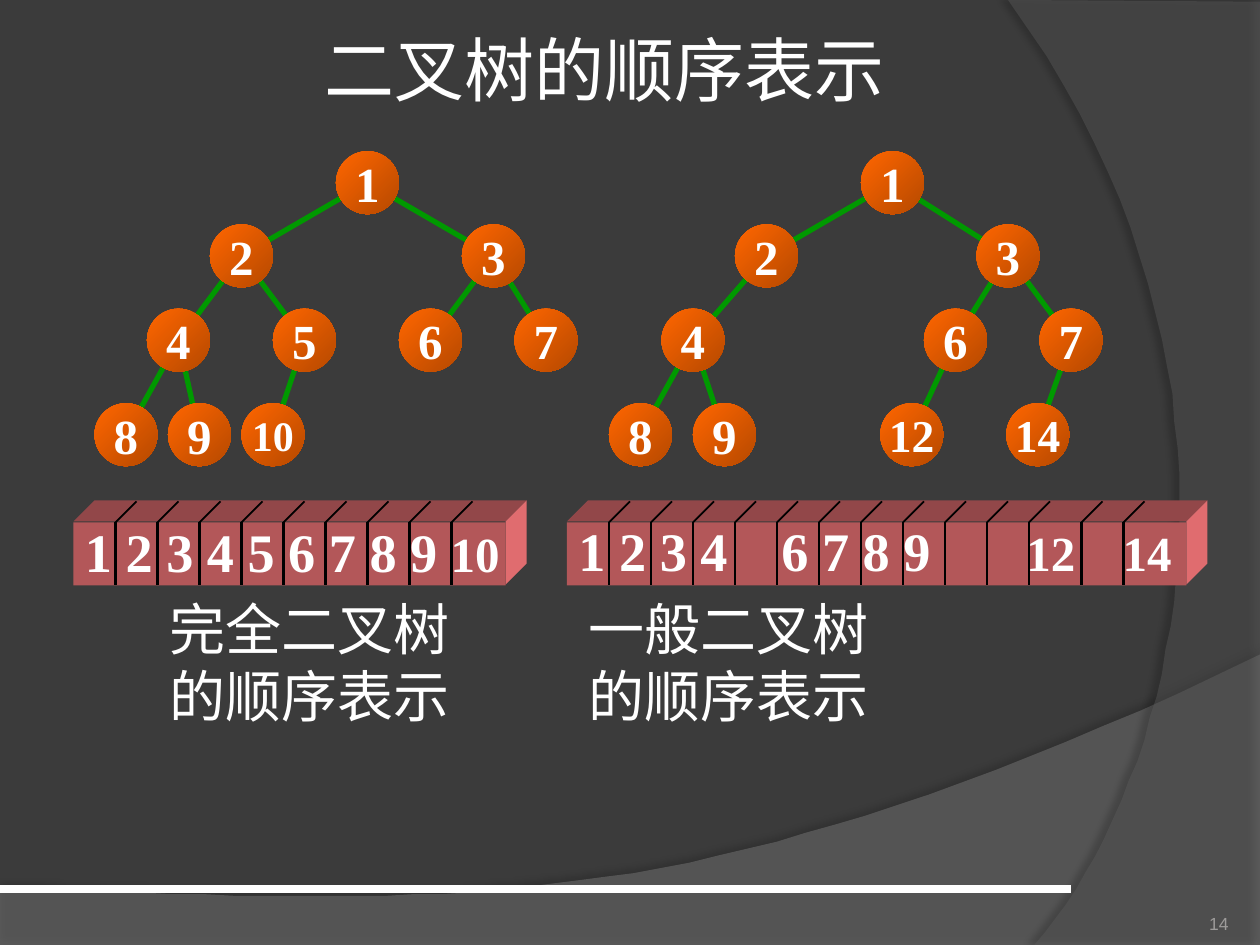
import math
from lxml import etree
from pptx import Presentation
from pptx.dml.color import RGBColor
from pptx.enum.shapes import MSO_CONNECTOR, MSO_SHAPE
from pptx.enum.text import MSO_ANCHOR, PP_ALIGN
from pptx.oxml.ns import qn
from pptx.util import Pt

STRAIGHT = MSO_CONNECTOR.STRAIGHT
OVAL = MSO_SHAPE.OVAL
RECTANGLE = MSO_SHAPE.RECTANGLE
MIDDLE = MSO_ANCHOR.MIDDLE
TOP = MSO_ANCHOR.TOP
BOTTOM = MSO_ANCHOR.BOTTOM
LEFT = PP_ALIGN.LEFT
CENTER = PP_ALIGN.CENTER
RIGHT = PP_ALIGN.RIGHT
color = RGBColor.from_string


def add_line(start, end, hex_color, width):
    line = slide.shapes.add_connector(STRAIGHT, *(Pt(v) for v in (*start, *end)))
    line.line.color.rgb = color(hex_color)
    line.line.width = Pt(width)
    etree.SubElement(line._element.spPr, qn("a:effectLst"))


def add_polygon(points, hex_color):
    builder = slide.shapes.build_freeform(*points[0], scale=Pt(1))
    builder.add_line_segments(points[1:], close=True)
    shape = builder.convert_to_shape()
    shape.shadow.inherit = False
    shape.fill.solid()
    shape.fill.fore_color.rgb = color(hex_color)
    shape.line.fill.background()
    return shape


presentation = Presentation()
presentation.slide_width, presentation.slide_height = Pt(720), Pt(540)
slide = presentation.slides.add_slide(presentation.slide_layouts[5])
slide.background.fill.solid()
slide.background.fill.fore_color.rgb = color("3B3B3B")

swooshes = [
    ([(720, 374.4), (402.5, 524.9), (281.5, 517.7), (0, 507.6)],
     [(0, 540), (720, 540)], "7F7F7F", 45, 35, 3.5, 270),
    ([(591, 540), (673.2, 445.7), (733, 216), (576, 0)],
     [(720, 1.4), (720, 540)], "5E5E5E", 40, 45, 4, 180),
]
for curve, corners, fill, alpha, shadow_alpha, distance, direction in swooshes:
    points = []
    for step in range(41):
        t = step / 40
        weights = ((1 - t) ** 3, 3 * t * (1 - t) ** 2, 3 * t * t * (1 - t), t ** 3)
        points.append(tuple(sum(w * p[axis] for w, p in zip(weights, curve)) for axis in (0, 1)))
    swoosh = add_polygon(points + corners, fill)
    properties = swoosh._element.spPr
    fill_color = properties.find(qn("a:solidFill")).find(qn("a:srgbClr"))
    etree.SubElement(fill_color, qn("a:alpha"), val=str(alpha * 1000))
    shadow = etree.SubElement(
        properties.find(qn("a:effectLst")), qn("a:outerShdw"),
        blurRad=str(Pt(4)), dist=str(Pt(distance)), dir=str(direction * 60000),
        algn="ctr", rotWithShape="0")
    shadow_color = etree.SubElement(shadow, qn("a:srgbClr"), val="000000")
    etree.SubElement(shadow_color, qn("a:alpha"), val=str(shadow_alpha * 1000))
add_line((0, 508), (612, 508), "FFFFFF", 4.5)

title = slide.shapes.title
title.left, title.top, title.width, title.height = Pt(178.5), Pt(11.5), Pt(360), Pt(66)
title.text_frame.text = "二叉树的顺序表示"
title.text_frame.vertical_anchor = TOP
paragraph = title.text_frame.paragraphs[0]
paragraph.alignment = LEFT
paragraph.font.size = Pt(40)
paragraph.font.name = "Times New Roman"
paragraph.font.color.rgb = color("FFFFFF")

level_centers = [104.4, 146.2, 194.4, 248.4]
trees = [
    {1: 210, 2: 138, 3: 282, 4: 102, 5: 174, 6: 246, 7: 312, 8: 72, 9: 114, 10: 156},
    {1: 510, 2: 438, 3: 576, 4: 396, 6: 546, 7: 612, 8: 366, 9: 414, 12: 521, 14: 593},
]
label_sizes = {10: 24, 12: 26, 14: 26}
radius, edge_trim = 18, 11
for tree in trees:
    centers = {n: (x, level_centers[n.bit_length() - 1]) for n, x in tree.items()}
    for number, (x, y) in centers.items():
        if number > 1:
            parent_x, parent_y = centers[number // 2]
            length = math.dist((x, y), (parent_x, parent_y))
            dx, dy = ((x - parent_x) * edge_trim / length, (y - parent_y) * edge_trim / length)
            add_line((parent_x + dx, parent_y + dy), (x - dx, y - dy), "009900", 3)
    for number, (x, y) in centers.items():
        node = slide.shapes.add_shape(OVAL, Pt(x - radius), Pt(y - radius), Pt(2 * radius), Pt(2 * radius))
        node.shadow.inherit = False
        node.line.fill.background()
        node.fill.gradient()
        node.fill.gradient_angle = 315
        for stop, stop_color in zip(node.fill.gradient_stops, ("FF6600", "B64900")):
            stop.color.rgb = color(stop_color)
        frame = node.text_frame
        frame.margin_left = frame.margin_right = frame.margin_top = frame.margin_bottom = 0
        frame.word_wrap = False
        frame.vertical_anchor = MIDDLE
        frame.text = str(number)
        paragraph = frame.paragraphs[0]
        paragraph.alignment = CENTER
        paragraph.font.size = Pt(label_sizes.get(number, 28))
        paragraph.font.name = "Times New Roman"
        paragraph.font.bold = True
        paragraph.font.color.rgb = color("FFFFFF")

top, bottom, depth = 298.5, 334.5, 12
arrays = [
    (42, 247, [66 + 24 * i for i in range(9)], 292.5, [],
     [("1 2 3 4 5 6 7 8 9 ", 31), ("10", 28)]),
    (324, 354, [348 + 24 * i for i in range(11)] + [618, 642], 291.5, [116, 256, 311],
     [("1 2 3 4\t6 7 8 9\t", 31), ("12\t14", 28)]),
]
for left, width, dividers, text_top, tab_stops, runs in arrays:
    right = left + width
    add_polygon([(left, top), (left + depth, top - depth), (right + depth, top - depth), (right, top)], "924749")
    add_polygon([(right, top), (right + depth, top - depth), (right + depth, bottom - depth), (right, bottom)], "E06C6F")
    front = slide.shapes.add_shape(RECTANGLE, Pt(left), Pt(top), Pt(width), Pt(bottom - top))
    front.shadow.inherit = False
    front.fill.solid()
    front.fill.fore_color.rgb = color("B35759")
    front.line.fill.background()
    for x in dividers:
        add_line((x, top), (x, bottom), "000000", 1.5)
        add_line((x, top), (x + depth, top - depth), "000000", 1)
    box = slide.shapes.add_textbox(Pt(left - 0.5), Pt(text_top), Pt(width + 14), Pt(45))
    box.text_frame.word_wrap = True
    box.text_frame.vertical_anchor = MIDDLE
    paragraph = box.text_frame.paragraphs[0]
    if tab_stops:
        tabs = etree.SubElement(paragraph._p.get_or_add_pPr(), qn("a:tabLst"))
        for position in tab_stops:
            etree.SubElement(tabs, qn("a:tab"), pos=str(Pt(position)), algn="l")
    paragraph.font.name = "Times New Roman"
    paragraph.font.bold = True
    paragraph.font.color.rgb = color("FFFFFF")
    for text, size in runs:
        run = paragraph.add_run()
        run.text = text
        run.font.size = Pt(size)

captions = [
    (90, 336, 522, 84, "完全二叉树\t一般二叉树\n的顺序表示\t的顺序表示", 32, "Noto Sans CJK SC", "FFFFFF", LEFT, TOP, 7.2),
    (642, 505.5, 60, 28.5, "14", 10, "Arial", "9D9B9A", RIGHT, BOTTOM, 0),
]
for left, box_top, width, height, text, size, font_name, hex_color, alignment, anchor, margin in captions:
    box = slide.shapes.add_textbox(Pt(left), Pt(box_top), Pt(width), Pt(height))
    frame = box.text_frame
    frame.word_wrap = True
    frame.vertical_anchor = anchor
    frame.margin_left = frame.margin_right = Pt(margin)
    frame.margin_top = frame.margin_bottom = Pt(margin / 2)
    frame.text = text
    for paragraph in frame.paragraphs:
        paragraph.alignment = alignment
        paragraph.line_spacing = Pt(size * 1.2)
        if "\t" in text:
            tabs = etree.SubElement(paragraph._p.get_or_add_pPr(), qn("a:tabLst"))
            etree.SubElement(tabs, qn("a:tab"), pos=str(Pt(239)), algn="l")
        paragraph.font.size = Pt(size)
        paragraph.font.name = font_name
        paragraph.font.color.rgb = color(hex_color)

presentation.save("out.pptx")
